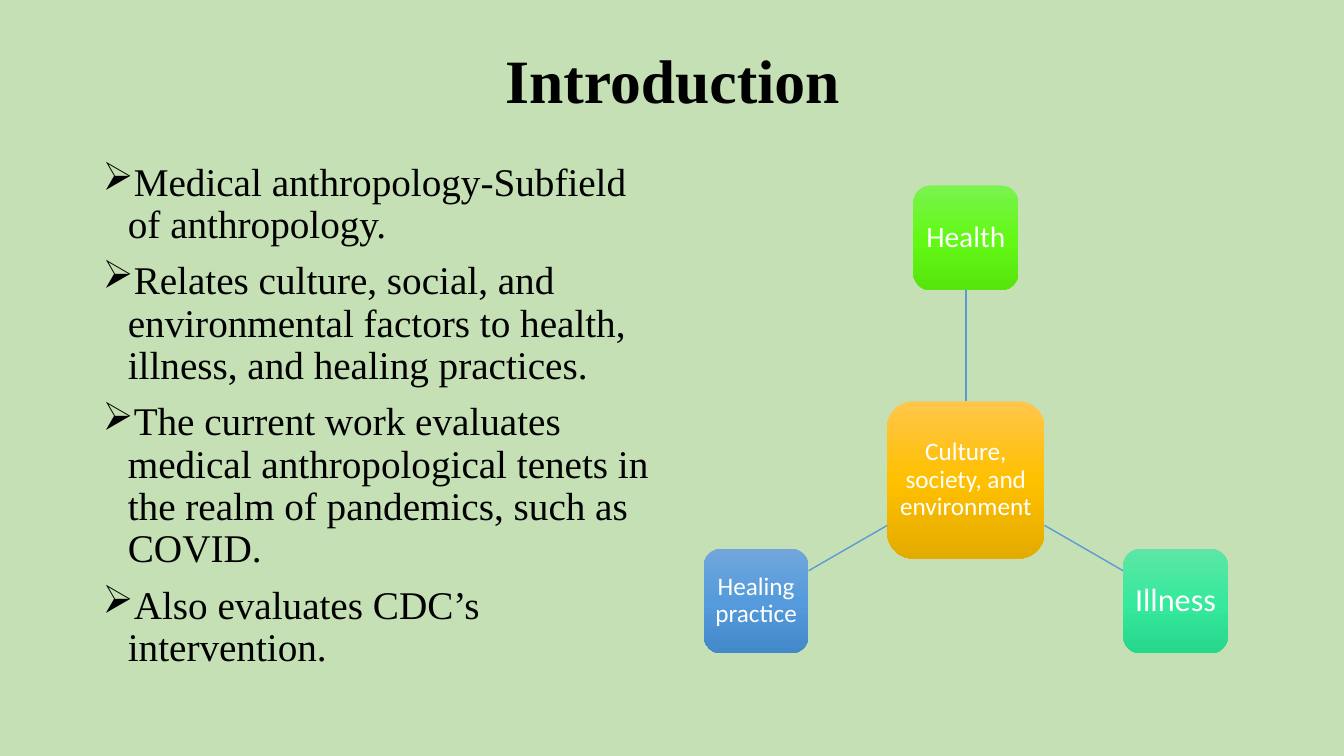
import math

import pptx
import pptx.dml.color
import pptx.enum.shapes
import pptx.enum.text
import pptx.util
from copy import deepcopy
from lxml import etree
from pptx.oxml.ns import qn

Inches = pptx.util.Inches
Pt = pptx.util.Pt
ALIGN = pptx.enum.text.PP_ALIGN
ANCHOR = pptx.enum.text.MSO_ANCHOR

COLORS = {"background": "C5E0B4", "ink": "000000", "label": "FFFFFF", "spoke": "5B9BD5"}
GRADIENTS = {
    "hub": ("FFC64B", "FFC000", "E3AB00"),
    "health": ("7AF350", "63F916", "56E50C"),
    "illness": ("5EE6A6", "37E99C", "27D88C"),
    "healing": ("71A6DB", "559BDB", "448ACA"),
}
SERIF, SANS = "Times New Roman", "Calibri"
POINTS = [
    "Medical anthropology-Subfield of anthropology.",
    "Relates culture, social, and environmental factors to health, illness, and healing practices.",
    "The current work evaluates medical anthropological tenets in the realm of pandemics, such as COVID.",
    "Also evaluates CDC’s intervention.",
]
HUB = ("Culture, society, and environment", "hub", 18)
# Label, gradient, text size, direction in degrees clockwise from the right
FACTORS = [
    ("Health", "health", 21, -90),
    ("Illness", "illness", 23, 30),
    ("Healing practice", "healing", 18, 150),
]


def rgb(value):
    return pptx.dml.color.RGBColor.from_string(value)


def apply_format(target, values):
    for name, value in values.items():
        setattr(target, name, value)


def write(paragraph, text, font, color, **layout):
    apply_format(paragraph, {"line_spacing": 0.9, **layout})
    run = paragraph.add_run()
    run.text = text
    apply_format(run.font, font)
    run.font.color.rgb = rgb(color)


def add_title(slide, box, text):
    frame = slide.shapes.add_textbox(*map(Inches, box)).text_frame
    apply_format(frame, {"word_wrap": True, "vertical_anchor": ANCHOR.MIDDLE})
    font = {"name": SERIF, "size": Pt(44), "bold": True}
    write(frame.paragraphs[0], text, font, COLORS["ink"], alignment=ALIGN.CENTER)


def add_points(slide, box, points):
    frame = slide.shapes.add_textbox(*map(Inches, box)).text_frame
    frame.word_wrap = True
    font = {"name": SERIF, "size": Pt(28)}
    for index, point in enumerate(points):
        paragraph = frame.add_paragraph() if index else frame.paragraphs[0]
        write(paragraph, point, font, COLORS["ink"], space_before=Pt(10))
        # Arrow bullet with a hanging indent
        properties = paragraph._p.get_or_add_pPr()
        properties.set("marL", str(Inches(0.25)))
        properties.set("indent", str(-Inches(0.25)))
        etree.SubElement(properties, qn("a:buChar")).set("char", "➢")


def fill_gradient(fill, colors):
    fill.gradient()
    fill.gradient_angle = 270
    stops = fill._fill._gradFill.find(qn("a:gsLst"))
    stops.insert(1, deepcopy(stops[0]))
    for index, (stop, color) in enumerate(zip(fill.gradient_stops, colors)):
        apply_format(stop, {"position": index / 2})
        stop.color.rgb = rgb(color)


def add_tile(slide, center, side, label, gradient, size):
    corner = [Inches(value - side / 2) for value in center]
    tile = slide.shapes.add_shape(
        pptx.enum.shapes.MSO_SHAPE.ROUNDED_RECTANGLE, *corner, Inches(side), Inches(side))
    tile.shadow.inherit = False
    fill_gradient(tile.fill, GRADIENTS[gradient])
    tile.line.fill.background()
    margins = dict.fromkeys(
        ("margin_left", "margin_right", "margin_top", "margin_bottom"), Inches(0.05))
    apply_format(tile.text_frame,
                 {"word_wrap": True, "vertical_anchor": ANCHOR.MIDDLE, **margins})
    write(tile.text_frame.paragraphs[0], label, {"name": SANS, "size": Pt(size)},
          COLORS["label"], alignment=ALIGN.CENTER)


def add_spoke(slide, start, end):
    spoke = slide.shapes.add_connector(
        pptx.enum.shapes.MSO_CONNECTOR.STRAIGHT, *map(Inches, (*start, *end)))
    spoke.line.color.rgb = rgb(COLORS["spoke"])
    spoke.line.width = Pt(1)
    etree.SubElement(spoke._element.spPr, qn("a:effectLst"))


def add_factor_wheel(slide, box):
    left, top, width, height = box
    tile_side = width / 5
    hub_side = tile_side * 1.5
    # Outer tiles sit at 30 degrees below the hub, flush with the box sides
    radius = (width - tile_side) / 2 / math.cos(math.radians(30))
    hub_center = (left + width / 2, top + tile_side / 2 + radius)
    add_tile(slide, hub_center, hub_side, *HUB)
    for label, gradient, size, angle in FACTORS:
        direction = (math.cos(math.radians(angle)), math.sin(math.radians(angle)))
        reach = 2 * max(map(abs, direction))  # side / reach is centre to edge

        def along(distance):
            return [c + distance * d for c, d in zip(hub_center, direction)]

        add_spoke(slide, along(hub_side / reach), along(radius - tile_side / reach))
        add_tile(slide, along(radius), tile_side, label, gradient, size)


def main():
    deck = pptx.Presentation()
    apply_format(deck, {"slide_width": Inches(13.33), "slide_height": Inches(7.5)})
    slide = deck.slides.add_slide(deck.slide_layouts[6])
    slide.background.fill.solid()
    slide.background.fill.fore_color.rgb = rgb(COLORS["background"])
    add_title(slide, (0.92, 0.4, 11.5, 0.85), "Introduction")
    add_points(slide, (0.92, 1.56, 5.67, 5.2), POINTS)
    add_factor_wheel(slide, (6.98, 1.84, 5.2, 4.63))
    deck.save("out.pptx")


if __name__ == "__main__":
    main()
